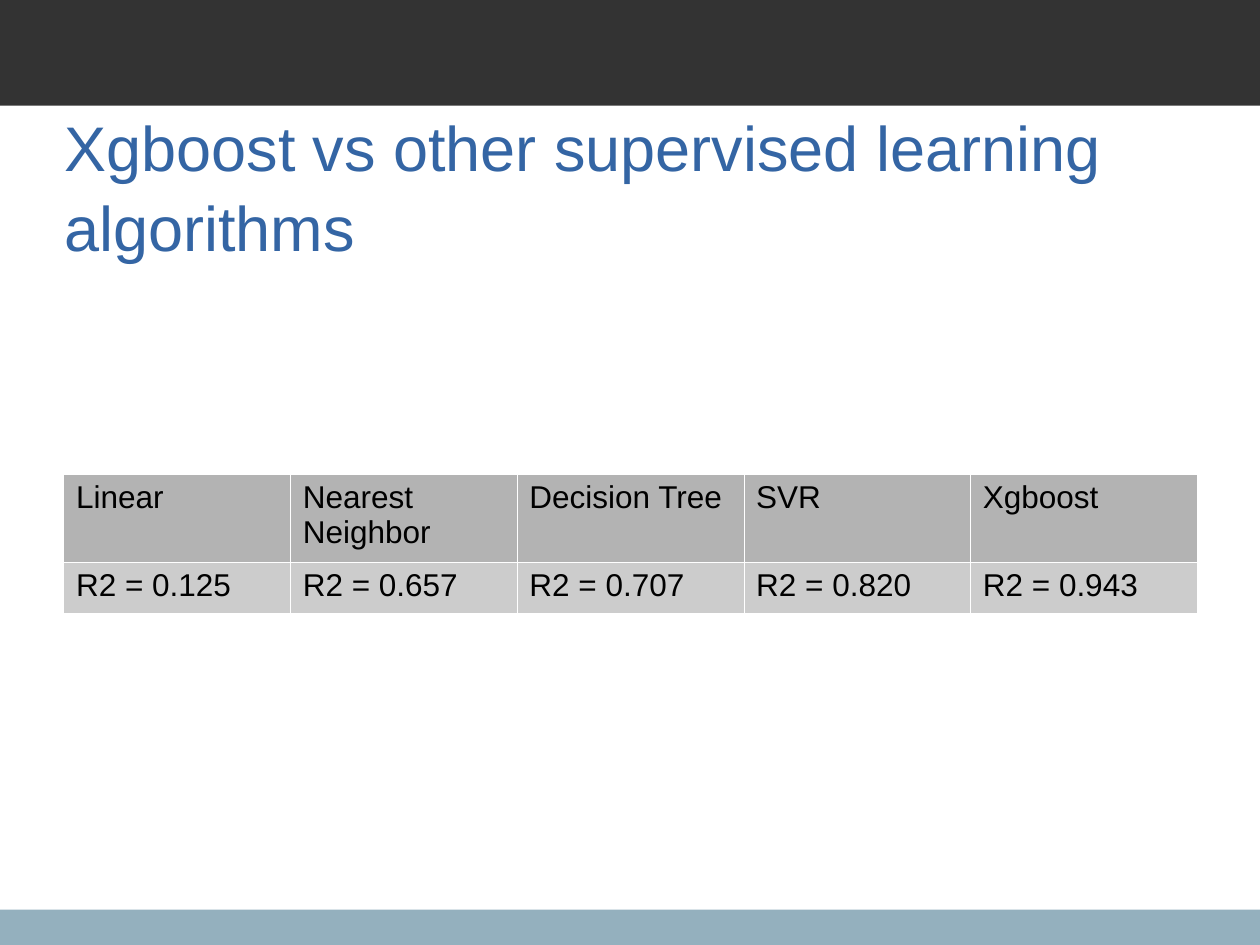
from lxml import etree
from pptx import Presentation
from pptx.dml.color import RGBColor
from pptx.enum import shapes, text
from pptx.oxml.ns import qn
from pptx.util import Cm, Pt

# Content
TITLE = "Xgboost vs other supervised learning algorithms"
SCORES = [
    ("Linear", "R2 = 0.125"),
    ("Nearest Neighbor", "R2 = 0.657"),
    ("Decision Tree", "R2 = 0.707"),
    ("SVR", "R2 = 0.820"),
    ("Xgboost", "R2 = 0.943"),
]
HUES = {
    "foot": "94B0BE", "band": "333333", "title": "3465A4",
    "head": "B3B3B3", "body": "CCCCCC", "ink": "000000", "rule": "FFFFFF",
}

# Layout in centimetres
WIDE, HIGH = 25.4, 19.05
BANDS = [("foot", 18.34, 0.71), ("band", 0, 2.13)]
COL = 4.57
ROWS = [("head", 1.68), ("body", 1.04)]
RULE = 720  # border width in EMU


def hue(name):
    return RGBColor.from_string(HUES[name])


def style(para, size, tint):
    form = {"name": "Arial", "size": Pt(size), "bold": False}
    for key, val in form.items():
        setattr(para.runs[0].font, key, val)
    para.runs[0].font.color.rgb = hue(tint)


def edge(cell):
    props = cell._tc.get_or_add_tcPr()
    for spot, side in enumerate(("lnL", "lnR", "lnT", "lnB")):
        line = etree.Element(qn(f"a:{side}"), w=str(RULE))
        fill = etree.SubElement(line, qn("a:solidFill"))
        etree.SubElement(fill, qn("a:srgbClr"), val=HUES["rule"])
        props.insert(spot, line)


deck = Presentation()
deck.slide_width, deck.slide_height = Cm(WIDE), Cm(HIGH)
slide = deck.slides.add_slide(deck.slide_layouts[6])

# Bottom and top bands
for name, top, tall in BANDS:
    bar = slide.shapes.add_shape(
        shapes.MSO_SHAPE.RECTANGLE, 0, Cm(top), Cm(WIDE), Cm(tall))
    bar.shadow.inherit = False
    bar.fill.solid()
    bar.fill.fore_color.rgb = hue(name)
    bar.line.fill.background()

# Title
box = slide.shapes.add_textbox(Cm(1.3), Cm(2.13), Cm(22.86), Cm(3.18))
frame = box.text_frame
fit = {
    "word_wrap": True, "vertical_anchor": text.MSO_ANCHOR.MIDDLE,
    "margin_left": 0, "margin_right": 0, "margin_top": 0, "margin_bottom": 0,
}
for key, val in fit.items():
    setattr(frame, key, val)
frame.text = TITLE
frame.paragraphs[0].line_spacing = 1.05
style(frame.paragraphs[0], 36, "title")

# Score table
grid = slide.shapes.add_table(
    len(ROWS), len(SCORES), Cm(1.28), Cm(9.55),
    Cm(COL * len(SCORES)), Cm(sum(tall for _, tall in ROWS))).table
for col in grid.columns:
    col.width = Cm(COL)
for r, (name, tall) in enumerate(ROWS):
    grid.rows[r].height = Cm(tall)
    for c, pair in enumerate(SCORES):
        cell = grid.cell(r, c)
        cell.text = pair[r]
        cell.fill.solid()
        cell.fill.fore_color.rgb = hue(name)
        style(cell.text_frame.paragraphs[0], 18, "ink")
        edge(cell)

deck.save("out.pptx")
